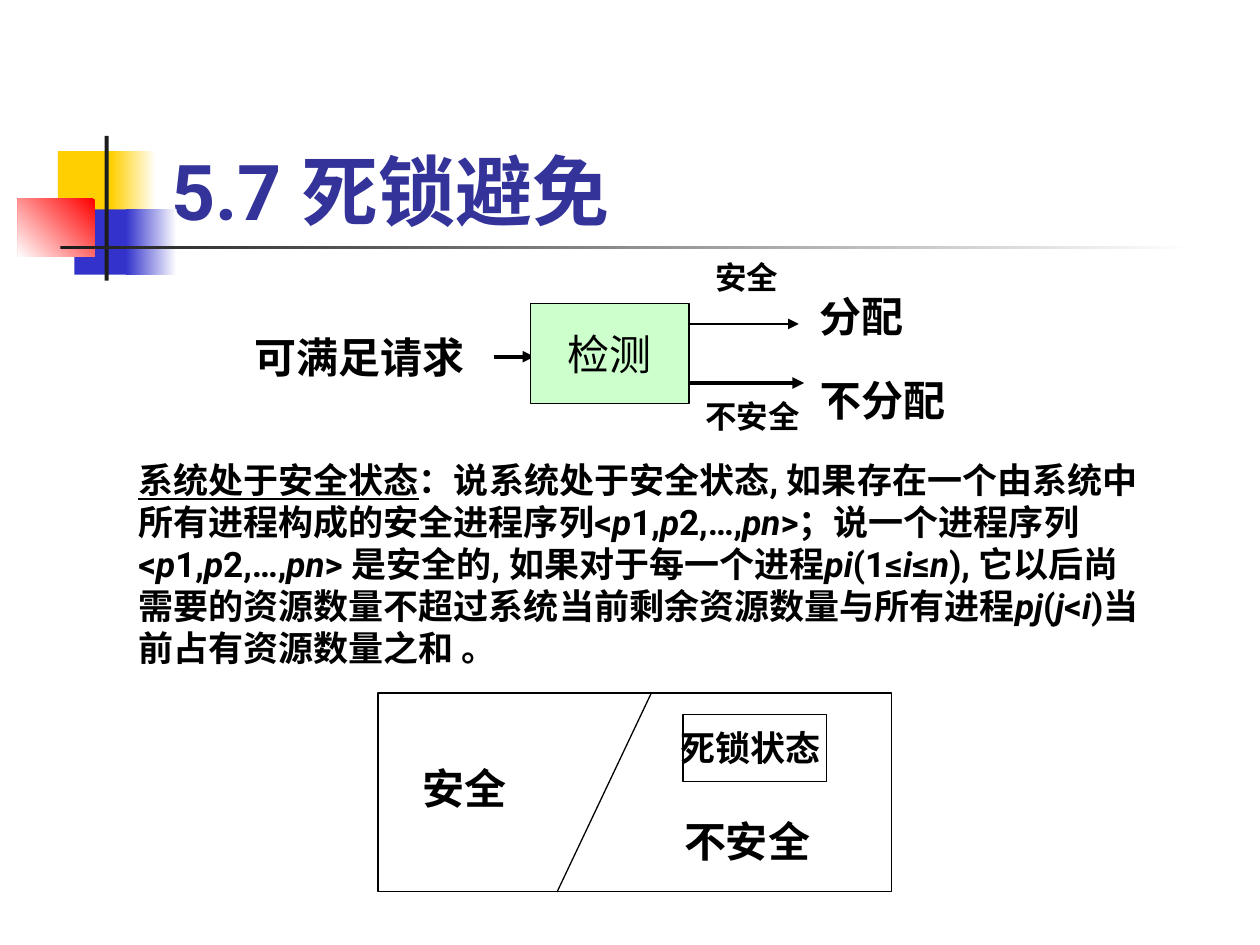
from lxml.etree import SubElement
from pptx import Presentation
from pptx.dml.color import RGBColor
from pptx.enum.shapes import MSO_CONNECTOR as Link, MSO_SHAPE as Kind
from pptx.enum.text import MSO_ANCHOR as Anchor, PP_ALIGN as Align
from pptx.oxml.ns import qn
from pptx.util import Cm, Pt

BLACK = RGBColor(0, 0, 0)
WHITE = RGBColor(255, 255, 255)
DARK = RGBColor(0x1C, 0x1C, 0x1C)
GOLD = RGBColor(0xFF, 0xCF, 0x01)
BLUE = RGBColor(0x33, 0x33, 0xCC)
RED = RGBColor(255, 0, 0)
NAVY = RGBColor(0x33, 0x33, 0x99)
MINT = RGBColor(0xCC, 0xFF, 0xCC)
SERIF, SANS, COMIC = "Times New Roman", "Roboto", "Comic Neue"

TITLE = "5.7 死锁避免"
# Asterisks enclose italics
TERM = "系统处于安全状态"
RULE = (
    "说系统处于安全状态, 如果存在一个由系统中所有进程构成的安全进程序列"
    "<*p*1,*p*2,…,*pn*>；说一个进程序列 <*p*1,*p*2,…,*pn*> 是安全的, "
    "如果对于每一个进程*pi*(1≤*i*≤*n*), 它以后尚需要的资源数量不超过"
    "系统当前剩余资源数量与所有进程*pj*(*j*<*i*)当前占有资源数量之和 "
)

# Place (left, top, width, height), colour, gradient angle or None
DECOR = [
    ((1.17, 3.05, 1.22, 1.32), GOLD, None),
    ((2.24, 3.05, 0.91, 1.32), GOLD, 0),
    ((1.5, 4.22, 1.17, 1.32), BLUE, None),
    ((2.54, 4.22, 1.02, 1.32), BLUE, 0),
    ((0.36, 4.01, 1.55, 1.17), RED, 225),
    ((2.11, 2.74, 0.08, 2.92), DARK, None),
    ((1.22, 4.95, 22.86, 0.08), DARK, 0),
]
# Text, place, size, left inset
LABELS = [
    ("可满足请求", (4.88, 6.55, 5.08, 1.27), 24, 0.25),
    ("分配", (15.88, 5.72, 2.74, 1.27), 24, 0.64),
    ("不分配", (15.44, 7.42, 4.24, 1.27), 24, 1.08),
    ("安全", (14.17, 5.08, 2.74, 1.02), 18, 0.25),
    ("不安全", (13.97, 7.87, 2.74, 1.02), 18, 0.25),
]
STATES = [
    ("安全", (8.26, 15.24, 2.54, 1.27), 24, 0.25),
    ("不安全", (13.54, 16.31, 3.38, 1.27), 24, 0.25),
]
# Left, right, height on the slide, width in points
ASK = (9.3, 10.77, 7.19, 2.25)
ANSWERS = [(13.89, 16.21, 7.72, 2.25), (13.89, 16.1, 6.53, 1.5)]


def write(shape, text, size=24, font=SERIF, color=BLACK, bold=True,
          align=Align.LEFT, anchor=Anchor.TOP, wrap=True, inset=0.25):
    """Fill a shape with one paragraph; text is a string or (text, format) runs."""
    frame = shape.text_frame
    frame.word_wrap, frame.vertical_anchor = wrap, anchor
    frame.margin_left, frame.margin_right = Cm(inset), Cm(0.25)
    frame.margin_top = frame.margin_bottom = Cm(0.13)
    par = frame.paragraphs[0]
    par.alignment = align
    for words, form in [(text, {})] if isinstance(text, str) else text:
        run = par.add_run()
        run.text = words
        face = run.font
        face.size, face.name, face.bold = Pt(size), font, bold
        face.color.rgb = color
        for key, val in form.items():
            setattr(face, key, val)


def block(home, place, color=WHITE, angle=None, edge=False):
    box = home.add_shape(Kind.RECTANGLE, *map(Cm, place))
    box.shadow.inherit = False
    if angle is None:
        box.fill.solid()
        box.fill.fore_color.rgb = color
    else:
        box.fill.gradient()
        box.fill.gradient_angle = angle
        for stop, tint in zip(box.fill.gradient_stops, (color, WHITE)):
            stop.color.rgb = tint
    if edge:
        box.line.color.rgb = BLACK
        box.line.width = Pt(0.75)
    else:
        box.line.fill.background()
    return box


def stroke(home, start, end, width, head=False):
    line = home.add_connector(Link.STRAIGHT, *map(Cm, start + end))
    line.line.color.rgb = BLACK
    line.line.width = Pt(width)
    props = line.element.spPr
    if head:
        SubElement(props.find(qn("a:ln")), qn("a:tailEnd"), type="triangle")
    SubElement(props, qn("a:effectLst"))


def arrow(home, left, right, top, width):
    stroke(home, (left, top), (right, top), width, head=True)


def label(home, text, place, size, inset):
    write(block(home, place), text, size=size, inset=inset)


def main():
    deck = Presentation()
    deck.slide_width, deck.slide_height = Cm(25.4), Cm(19.05)
    slide = deck.slides.add_slide(deck.slide_layouts[5])
    shapes = slide.shapes

    for item in DECOR:
        block(shapes, *item)
    title = shapes.title
    title.left, title.top, title.width, title.height = map(
        Cm, (3.2, 1.7, 21.64, 3.18))
    write(title, TITLE, size=44, font=SANS, color=NAVY, anchor=Anchor.BOTTOM)

    mid = dict(align=Align.CENTER, anchor=Anchor.MIDDLE, wrap=False, font=SANS)
    arrow(shapes, *ASK)
    for item in LABELS:
        label(shapes, *item)
    for item in ANSWERS:
        arrow(shapes, *item)
    check = block(shapes, (10.69, 6.12, 3.2, 2.01), MINT, edge=True)
    write(check, "检测", bold=False, **mid)

    runs = [(TERM, dict(name=COMIC, underline=True)), ("：", dict(name=COMIC))]
    runs += [(part, dict(italic=i % 2 == 1))
             for i, part in enumerate(RULE.split("*"))]
    runs.append(("。", dict(name=COMIC)))
    body = shapes.add_textbox(*map(Cm, (2.54, 9.12, 20.75, 4.5)))
    write(body, runs, size=20, font=SANS)

    space = shapes.add_group_shape().shapes
    block(space, (7.62, 13.97, 10.36, 4.01), edge=True)
    stroke(space, (13.13, 13.97), (11.23, 17.98), 0.75)
    for item in STATES:
        label(space, *item)
    dead = block(space, (13.77, 14.4, 2.9, 1.35), edge=True)
    write(dead, "死锁状态 ", size=20, **mid)

    deck.save("out.pptx")


if __name__ == "__main__":
    main()
